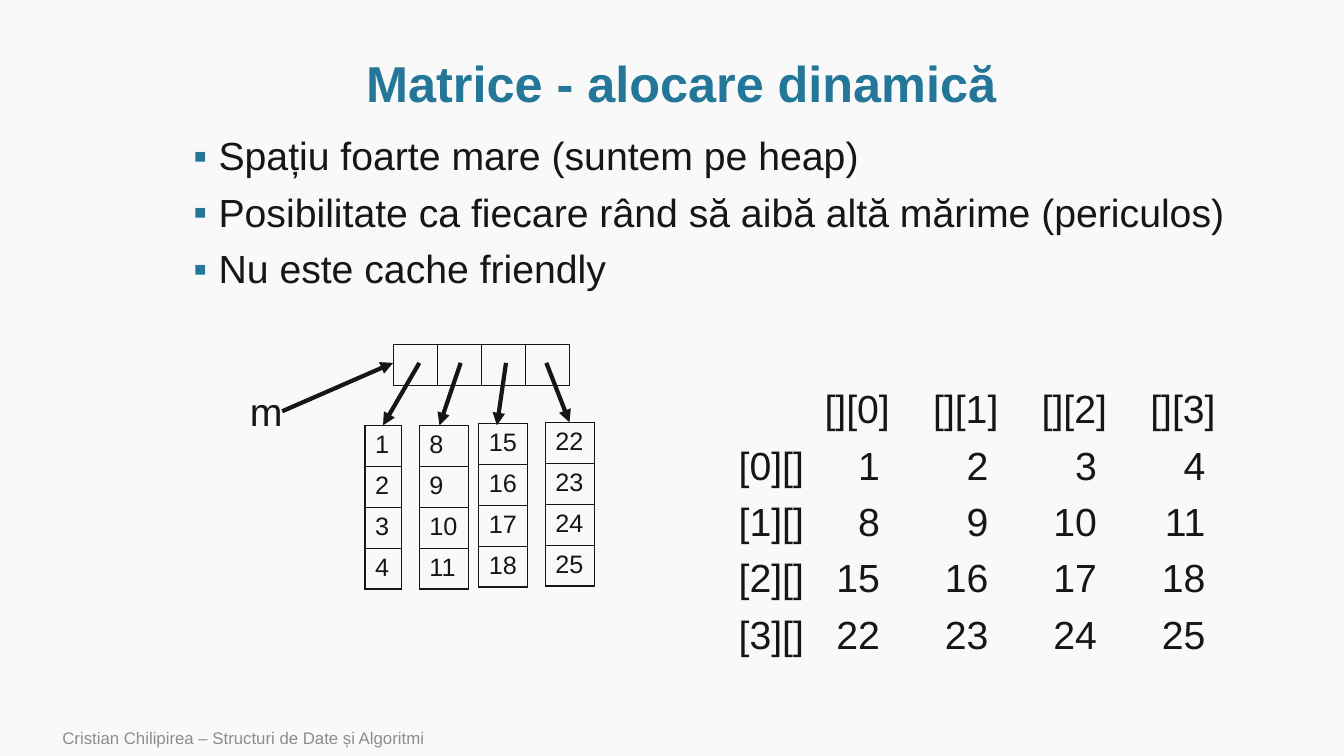
from dataclasses import dataclass

from lxml.etree import SubElement
from pptx import Presentation
from pptx.dml.color import RGBColor
from pptx.enum.shapes import MSO_CONNECTOR
from pptx.enum.text import MSO_ANCHOR, PP_ALIGN
from pptx.oxml.ns import qn
from pptx.util import Inches, Pt


@dataclass(frozen=True)
class Theme:
    font: str = "Arial"
    background: str = "F9F9F9"
    ink: str = "171616"
    accent: str = "247798"
    muted: str = "8C8C8C"
    title_size: int = 36
    body_size: int = 28
    cell_size: int = 18
    footer_size: int = 12
    border_width: int = 1
    arrow_width: int = 3
    line_spacing: float = 0.9
    space_before: int = 10


COLUMNS, ROWS = 133.33, 75
CELL_HEIGHT = 4.06


class SlideBuilder:
    """Places elements on a grid of COLUMNS by ROWS units."""

    def __init__(self, presentation, theme):
        self.theme = theme
        self.column = presentation.slide_width / COLUMNS
        self.row = presentation.slide_height / ROWS
        self.slide = presentation.slides.add_slide(presentation.slide_layouts[6])
        fill = self.slide.background.fill
        fill.solid()
        fill.fore_color.rgb = RGBColor.from_string(theme.background)

    def place(self, left, top):
        """Turn grid units into whole slide lengths."""
        return round(left * self.column), round(top * self.row)

    def add_run(self, paragraph, text, size, color, bold=False):
        run = paragraph.add_run()
        run.text = text
        run.font.name = self.theme.font
        run.font.size = Pt(size)
        run.font.bold = bold
        run.font.color.rgb = RGBColor.from_string(color)

    def add_bullet(self, paragraph):
        properties = paragraph._p.get_or_add_pPr()
        properties.set("marL", str(Inches(0.25)))
        properties.set("indent", str(-Inches(0.25)))
        color = SubElement(properties, qn("a:buClr"))
        SubElement(color, qn("a:srgbClr"), val=self.theme.accent)
        SubElement(properties, qn("a:buFont"), typeface=self.theme.font)
        SubElement(properties, qn("a:buChar"), char="▪")

    def add_right_tabs(self, paragraph, stops):
        tabs = SubElement(paragraph._p.get_or_add_pPr(), qn("a:tabLst"))
        for stop in stops:
            SubElement(tabs, qn("a:tab"), pos=str(round(stop * self.column)), algn="r")

    def text(self, box, lines, size, color=None, bold=False, bullets=False,
             tab_rows=None, align=PP_ALIGN.LEFT, anchor=MSO_ANCHOR.TOP, tight=False):
        """Add a text box; tab_rows holds the tab stops of each line."""
        left, top, width, height = box
        shape = self.slide.shapes.add_textbox(
            *self.place(left, top), *self.place(width, height))
        frame = shape.text_frame
        frame.word_wrap = True
        frame.vertical_anchor = anchor
        if tight:
            frame.margin_right = 0
        for index, line in enumerate(lines):
            paragraph = frame.add_paragraph() if index else frame.paragraphs[0]
            if bullets:
                self.add_bullet(paragraph)
            if tab_rows:
                self.add_right_tabs(paragraph, tab_rows[index])
            paragraph.alignment = align
            paragraph.line_spacing = self.theme.line_spacing if not tight else 1.0
            if index:
                paragraph.space_before = Pt(self.theme.space_before)
            self.add_run(paragraph, line, size, color or self.theme.ink, bold)

    def style_cell(self, cell):
        properties = cell._tc.get_or_add_tcPr()
        for side in ("lnL", "lnR", "lnT", "lnB"):
            border = SubElement(properties, qn(f"a:{side}"),
                                w=str(Pt(self.theme.border_width)))
            fill = SubElement(border, qn("a:solidFill"))
            SubElement(fill, qn("a:srgbClr"), val=self.theme.ink)
        cell.fill.background()
        cell.margin_right = 0

    def table(self, left, top, column_width, values):
        width, height = self.place(column_width, CELL_HEIGHT)
        row_count, column_count = len(values), len(values[0])
        table = self.slide.shapes.add_table(
            row_count, column_count, *self.place(left, top),
            width * column_count, height * row_count).table
        table.first_row = False
        table.horz_banding = False
        for column in table.columns:
            column.width = width
        for row, row_values in zip(table.rows, values):
            row.height = height
            for cell, value in zip(row.cells, row_values):
                self.style_cell(cell)
                if value:
                    self.add_run(cell.text_frame.paragraphs[0], value,
                                 self.theme.cell_size, self.theme.ink)

    def arrow(self, start, end):
        connector = self.slide.shapes.add_connector(
            MSO_CONNECTOR.STRAIGHT, *self.place(*start), *self.place(*end))
        connector.line.color.rgb = RGBColor.from_string(self.theme.ink)
        connector.line.width = Pt(self.theme.arrow_width)
        SubElement(connector.line._get_or_add_ln(), qn("a:tailEnd"), type="triangle")
        SubElement(connector._element.spPr, qn("a:effectLst"))


def main():
    presentation = Presentation()
    presentation.slide_width = Inches(13.33)
    presentation.slide_height = Inches(7.5)
    theme = Theme()
    builder = SlideBuilder(presentation, theme)
    matrix = [[str(7 * row + column) for column in range(1, 5)] for row in range(4)]

    builder.text((5.2, 71.6, 84, 3.4),
                 ["Cristian Chilipirea – Structuri de Date și Algoritmi"],
                 theme.footer_size, theme.muted, anchor=MSO_ANCHOR.MIDDLE)
    builder.text((10.1, 5.1, 115, 6.9), ["Matrice - alocare dinamică"],
                 theme.title_size, theme.accent, bold=True,
                 align=PP_ALIGN.CENTER, anchor=MSO_ANCHOR.MIDDLE)
    builder.text((18.2, 13.1, 109.4, 55.7),
                 ["Spațiu foarte mare (suntem pe heap)",
                  "Posibilitate ca fiecare rând să aibă altă mărime (periculos)",
                  "Nu este cache friendly"],
                 theme.body_size, bullets=True)

    builder.table(39, 34.2, 4.38, [[""] * 4])
    builder.text((23.8, 37.9, 4.2, 5.7), ["m"], theme.body_size, tight=True)
    builder.arrow((28, 40.8), (39, 36))
    row_tables = [(36.2, 42.2, 3.6), (41.6, 42.2, 4.85),
                  (47.5, 42, 4.85), (54.1, 41.9, 4.85)]
    pointers = [(41.6, 38, 42.2), (45.7, 43.6, 42.2),
                (50.2, 49.3, 42.2), (54.2, 56.5, 41.9)]
    for values, (left, top, width), (start, end, tip) in zip(matrix, row_tables, pointers):
        builder.table(left, top, width, [[value] for value in values])
        builder.arrow((start, 36), (end, tip))

    header_stops = [15 + 10.77 * index for index in range(4)]
    value_stops = [stop - 1 for stop in header_stops]
    header = "".join(f"\t[][{index}]" for index in range(4))
    rows = ["\t".join([f"[{index}][]", *values]) for index, values in enumerate(matrix)]
    builder.text((72.3, 38.2, 52.8, 31), [header, *rows], theme.body_size,
                 tab_rows=[header_stops] + [value_stops] * 4)

    presentation.save("out.pptx")


if __name__ == "__main__":
    main()
